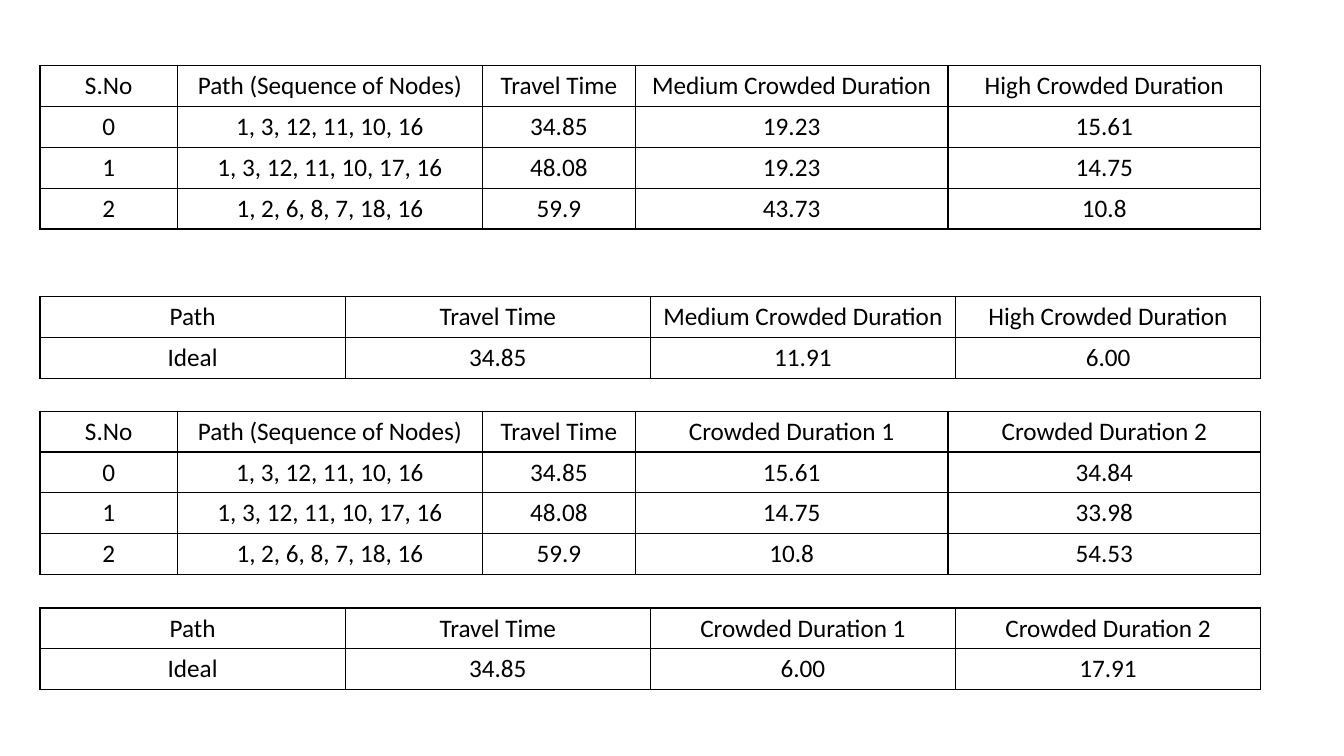
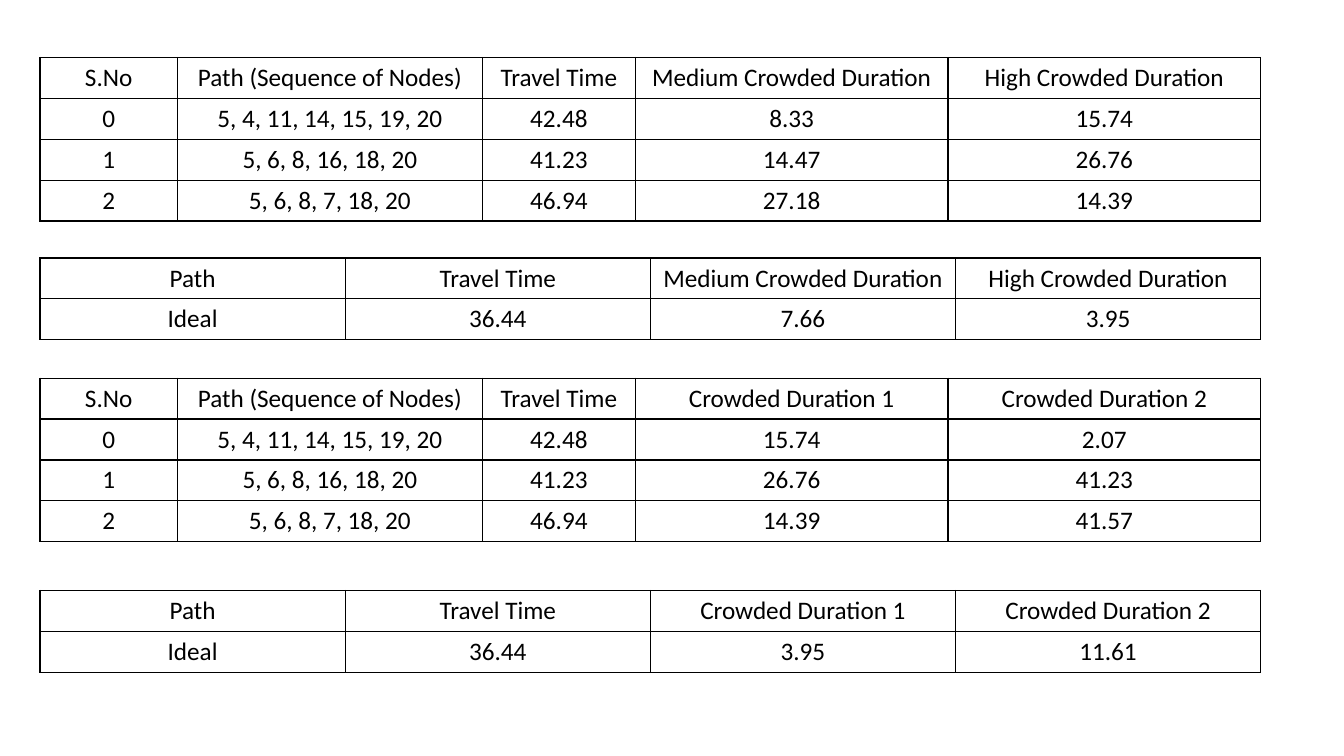
"""Builds two slides of route tables with travel times and crowded durations."""
import lxml.etree
import pptx
import pptx.dml.color
import pptx.enum.text
import pptx.oxml.ns
import pptx.util

Cm = pptx.util.Cm
COLORS = {"ink": "000000"}
INK = pptx.dml.color.RGBColor.from_string(COLORS["ink"])
FONT = {"name": "Calibri", "size": pptx.util.Pt(18), "bold": False}
PLAIN = {"first_row": False, "horz_banding": False}
LEFT, ROW = 1.01, 1.03
ROUTE_COLS = [3.46, 7.69, 3.85, 7.88, 7.88]
IDEAL_COLS = [7.69] * 4
LEVELS = ["Medium Crowded Duration", "High Crowded Duration"]
STAGES = ["Crowded Duration 1", "Crowded Duration 2"]

SLIDES = [
    {
        "routes": [
            ("1, 3, 12, 11, 10, 16", "34.85"),
            ("1, 3, 12, 11, 10, 17, 16", "48.08"),
            ("1, 2, 6, 8, 7, 18, 16", "59.9"),
        ],
        "ideal": "34.85",
        "pairs": [
            (LEVELS, 1.65, [("19.23", "15.61"), ("19.23", "14.75"), ("43.73", "10.8")],
             7.47, ("11.91", "6.00")),
            (STAGES, 10.36, [("15.61", "34.84"), ("14.75", "33.98"), ("10.8", "54.53")],
             15.32, ("6.00", "17.91")),
        ],
    },
    {
        "routes": [
            ("5, 4, 11, 14, 15, 19, 20", "42.48"),
            ("5, 6, 8, 16, 18, 20", "41.23"),
            ("5, 6, 8, 7, 18, 20", "46.94"),
        ],
        "ideal": "36.44",
        "pairs": [
            (LEVELS, 1.45, [("8.33", "15.74"), ("14.47", "26.76"), ("27.18", "14.39")],
             6.5, ("7.66", "3.95")),
            (STAGES, 9.53, [("15.74", "2.07"), ("26.76", "41.23"), ("14.39", "41.57")],
             14.88, ("3.95", "11.61")),
        ],
    },
]


def style(thing, values):
    """Set each attribute named in values."""
    for key, value in values.items():
        setattr(thing, key, value)


def frame(cell):
    """Draw a thin line on all four sides of a cell."""
    qn = pptx.oxml.ns.qn
    props = cell._tc.get_or_add_tcPr()
    for side in ("lnL", "lnR", "lnT", "lnB"):
        line = lxml.etree.SubElement(props, qn("a:" + side), w=str(pptx.util.Pt(1)))
        fill = lxml.etree.SubElement(line, qn("a:solidFill"))
        lxml.etree.SubElement(fill, qn("a:srgbClr"), val=COLORS["ink"])


def write(cell, text):
    """Put centred text in an unfilled, framed cell."""
    frame(cell)
    cell.fill.background()
    para = cell.text_frame.paragraphs[0]
    para.alignment = pptx.enum.text.PP_ALIGN.CENTER
    run = para.add_run()
    run.text = text
    style(run.font, FONT)
    run.font.color.rgb = INK


def grid(slide, top, widths, rows):
    """Add a table with the given column widths and rows of text."""
    table = slide.shapes.add_table(
        len(rows), len(widths), Cm(LEFT), Cm(top),
        Cm(sum(widths)), Cm(ROW * len(rows))).table
    style(table, PLAIN)
    for col, width in zip(table.columns, widths):
        col.width = Cm(width)
    for line, texts in zip(table.rows, rows):
        line.height = Cm(ROW)
        for cell, text in zip(line.cells, texts):
            write(cell, text)


def routes(slide, top, heads, paths, times):
    """Add the numbered table of routes."""
    rows = [["S.No", "Path (Sequence of Nodes)", "Travel Time", *heads]]
    for num, (route, time) in enumerate(zip(paths, times)):
        rows.append([str(num), *route, *time])
    grid(slide, top, ROUTE_COLS, rows)


def ideal(slide, top, heads, total, times):
    """Add the table of the ideal path."""
    rows = [["Path", "Travel Time", *heads], ["Ideal", total, *times]]
    grid(slide, top, IDEAL_COLS, rows)


def main():
    """Build and save the deck."""
    deck = pptx.Presentation()
    style(deck, {"slide_width": Cm(33.87), "slide_height": Cm(19.05)})
    for data in SLIDES:
        slide = deck.slides.add_slide(deck.slide_layouts[6])
        for heads, top, times, low, best in data["pairs"]:
            routes(slide, top, heads, data["routes"], times)
            ideal(slide, low, heads, data["ideal"], best)
    deck.save("out.pptx")


if __name__ == "__main__":
    main()
